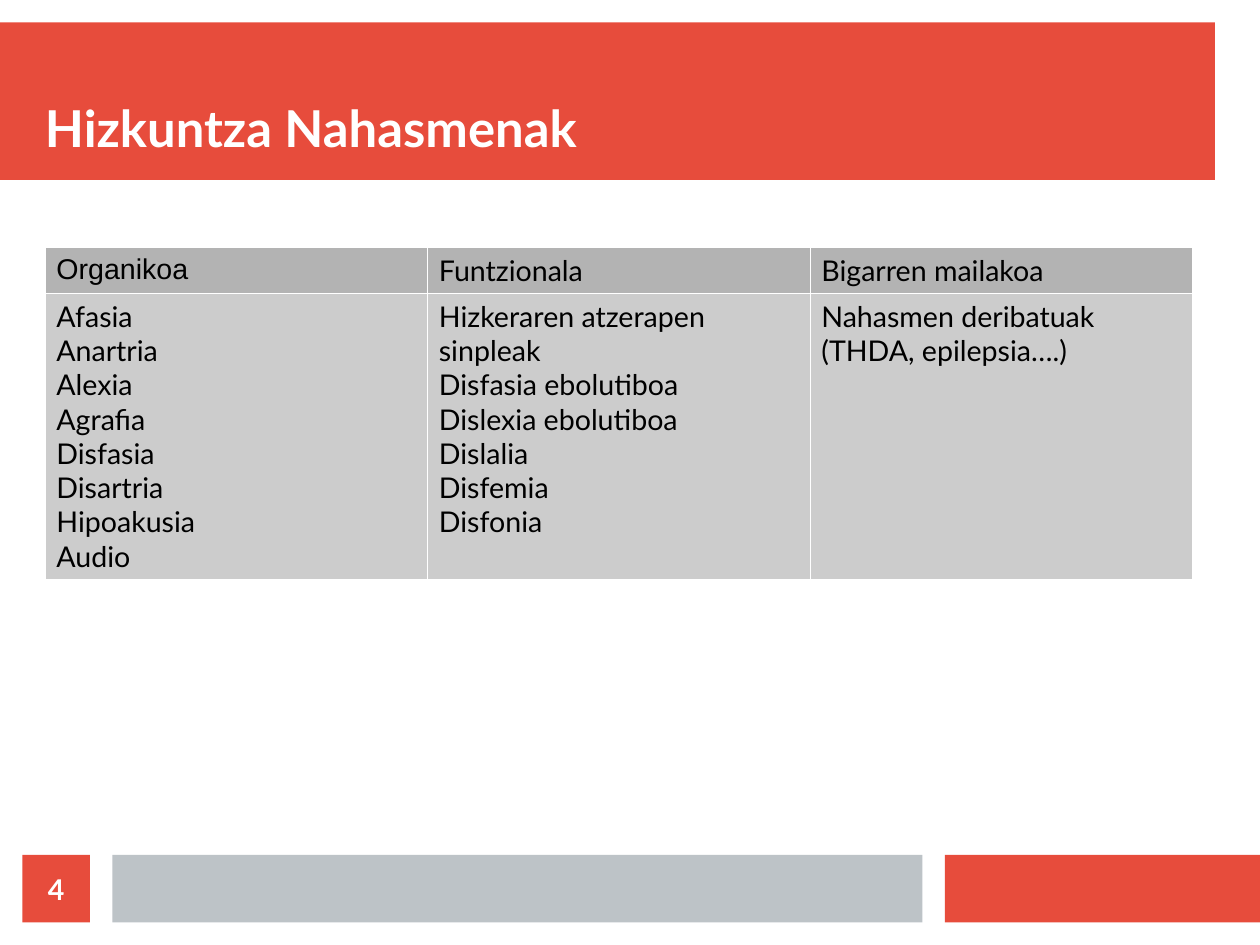
import pptx
import pptx.dml.color
import pptx.enum.shapes
import pptx.enum.text
import pptx.oxml
import pptx.oxml.ns
import pptx.util
from dataclasses import dataclass

ANCHOR = pptx.enum.text.MSO_ANCHOR
ALIGN = pptx.enum.text.PP_ALIGN


@dataclass(frozen=True)
class Theme:
    red: str = "E74C3C"
    grey: str = "BDC3C7"
    header: str = "B3B3B3"
    body: str = "CCCCCC"
    white: str = "FFFFFF"
    black: str = "000000"
    font: str = "Lato"
    plain_font: str = "Arial"
    title_size: int = 32
    text_size: int = 18
    border_width: float = 0.06


class SlideBuilder:
    """Places elements on a grid of half-centimetre columns and rows."""

    COLUMNS, ROWS, CELL = 56, 42, pptx.util.Cm(0.5)

    def __init__(self, theme):
        self.theme = theme
        self.deck = pptx.Presentation()
        self.deck.slide_width = self.COLUMNS * self.CELL
        self.deck.slide_height = self.ROWS * self.CELL
        self.slide = self.deck.slides.add_slide(self.deck.slide_layouts[6])

    def grid(self, *units):
        return [round(unit * self.CELL) for unit in units]

    def fill(self, target, colour):
        target.fill.solid()
        target.fill.fore_color.rgb = pptx.dml.color.RGBColor.from_string(colour)

    def add_lines(self, frame, lines, colour, align=ALIGN.LEFT, **font_format):
        font_values = {"name": self.theme.font,
                       "size": pptx.util.Pt(self.theme.text_size), **font_format}
        for index, line in enumerate(lines):
            paragraph = frame.add_paragraph() if index else frame.paragraphs[0]
            paragraph.alignment = align
            run = paragraph.add_run()
            run.text = line
            for name, value in font_values.items():
                setattr(run.font, name, value)
            run.font.color.rgb = pptx.dml.color.RGBColor.from_string(colour)

    def set_frame(self, frame, anchor):
        values = {"word_wrap": True, "vertical_anchor": anchor, "margin_left": 0,
                  "margin_top": 0, "margin_right": 0, "margin_bottom": 0}
        for name, value in values.items():
            setattr(frame, name, value)

    def block(self, area, colour, label=None):
        block = self.slide.shapes.add_shape(
            pptx.enum.shapes.MSO_SHAPE.RECTANGLE, *self.grid(*area))
        block.shadow.inherit = False
        self.fill(block, colour)
        block.line.fill.background()
        if label:
            self.set_frame(block.text_frame, ANCHOR.MIDDLE)
            self.add_lines(block.text_frame, [label], self.theme.white,
                           ALIGN.CENTER, bold=True)

    def title(self, area, text):
        frame = self.slide.shapes.add_textbox(*self.grid(*area)).text_frame
        self.set_frame(frame, ANCHOR.BOTTOM)
        self.add_lines(frame, [text], self.theme.white, bold=True,
                       size=pptx.util.Pt(self.theme.title_size))

    def border(self, cell):
        properties = cell._tc.get_or_add_tcPr()
        width = pptx.util.Pt(self.theme.border_width)
        for position, side in enumerate(("lnL", "lnR", "lnT", "lnB")):
            properties.insert(position, pptx.oxml.parse_xml(
                f'<a:{side} {pptx.oxml.ns.nsdecls("a")} w="{width}"><a:solidFill>'
                f'<a:srgbClr val="{self.theme.white}"/></a:solidFill></a:{side}>'))

    def table(self, area, row_heights, disorders):
        table = self.slide.shapes.add_table(
            len(row_heights), len(disorders), *self.grid(*area)).table
        for name in ("first_row", "horz_banding"):
            setattr(table, name, False)
        for row, height in zip(table.rows, self.grid(*row_heights)):
            row.height = height
        for column, (heading, font, items) in enumerate(disorders):
            rows = (([heading], font, self.theme.header),
                    (items, self.theme.font, self.theme.body))
            for row, (lines, name, colour) in enumerate(rows):
                cell = table.cell(row, column)
                self.fill(cell, colour)
                self.border(cell)
                self.add_lines(cell.text_frame, lines, self.theme.black, name=name)


def main():
    theme = Theme()
    page = SlideBuilder(theme)

    # Title band and footer
    page.block((0, 1, 54, 7), theme.red)
    page.block((42, 38, 14, 3), theme.red)
    page.block((5, 38, 36, 3), theme.grey)
    page.title((2, 2, 52, 5), "Hizkuntza Nahasmenak")

    # Language disorders by origin
    disorders = [
        ("Organikoa", theme.plain_font,
         ["Afasia", "Anartria", "Alexia", "Agrafia", "Disfasia", "Disartria",
          "Hipoakusia", "Audio"]),
        ("Funtzionala", theme.font,
         ["Hizkeraren atzerapen sinpleak", "Disfasia ebolutiboa",
          "Dislexia ebolutiboa", "Dislalia", "Disfemia", "Disfonia"]),
        ("Bigarren mailakoa", theme.font,
         ["Nahasmen deribatuak (THDA, epilepsia….)"]),
    ]
    row_heights = (2, 12.7)
    page.table((2, 11, 51, sum(row_heights)), row_heights, disorders)

    # Page number
    page.block((1, 38, 3, 3), theme.red, "4")
    page.deck.save("out.pptx")


if __name__ == "__main__":
    main()
